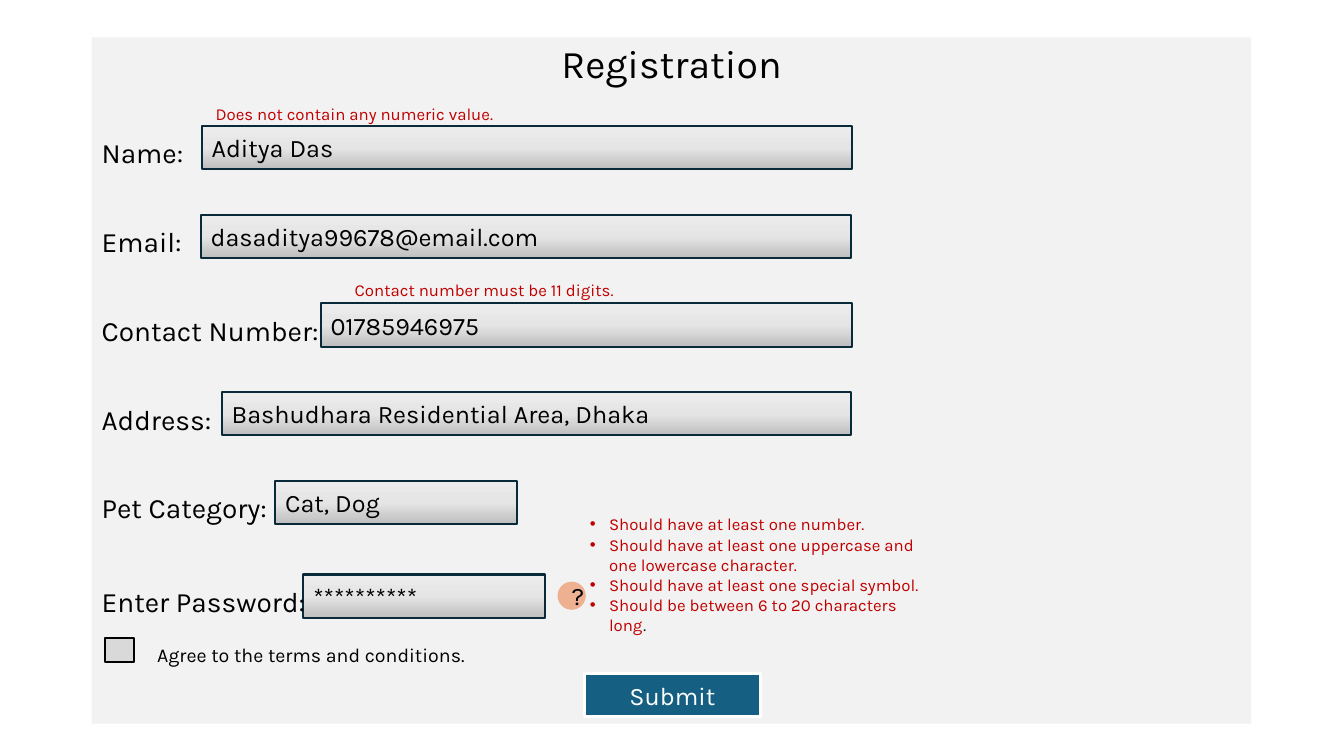
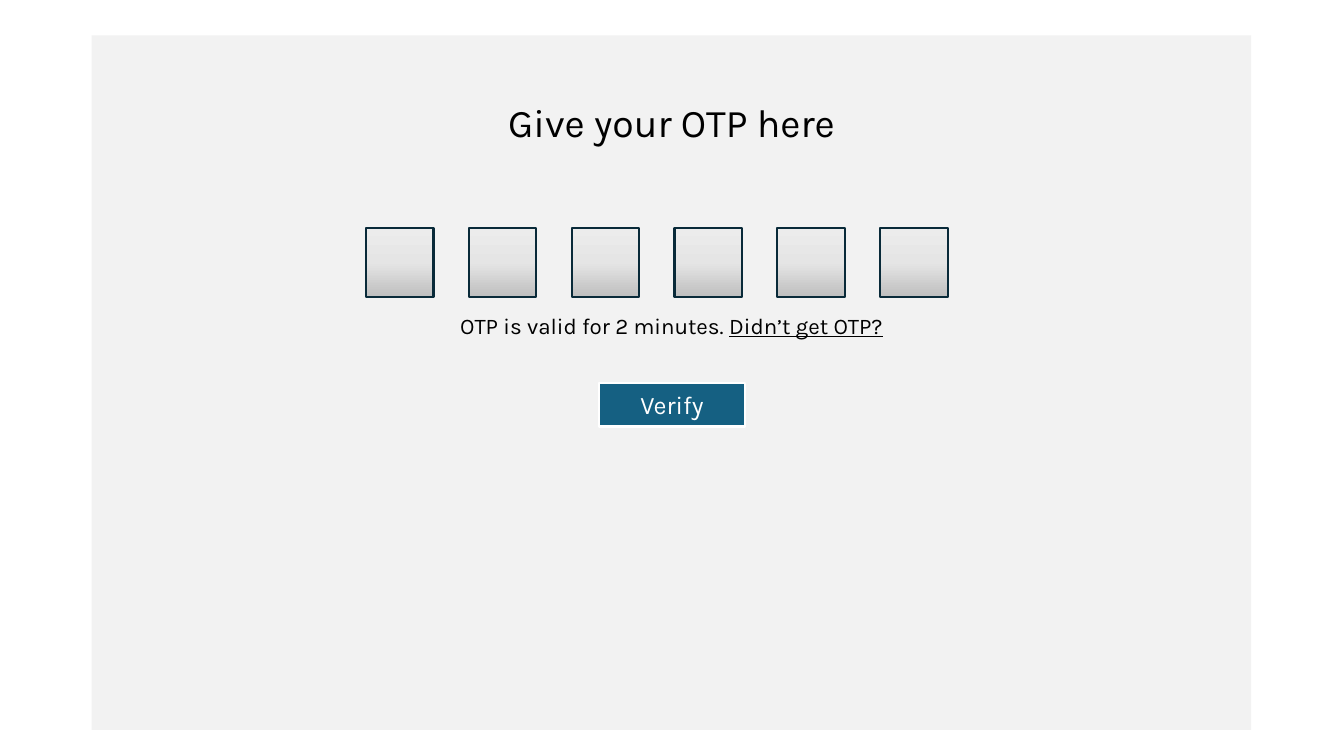
from lxml import etree
from pptx import Presentation
from pptx.dml.color import RGBColor
from pptx.enum.shapes import MSO_SHAPE
from pptx.enum.text import MSO_ANCHOR, MSO_AUTO_SIZE, PP_ALIGN
from pptx.oxml.ns import qn
from pptx.util import Inches, Pt

RECT, OVAL = MSO_SHAPE.RECTANGLE, MSO_SHAPE.OVAL
LEFT, CENTER = PP_ALIGN.LEFT, PP_ALIGN.CENTER
MIDDLE, TOP = MSO_ANCHOR.MIDDLE, MSO_ANCHOR.TOP
NO_FIT = MSO_AUTO_SIZE.NONE

FONT = "Karla"
COLORS = {
    "panel": "F2F2F2", "text": "000000", "hint": "C00000", "white": "FFFFFF",
    "button": "156082", "field_line": "092A39", "check": "D9D9D9",
    "help": "E97132", "period": "111111",
}
FIELD_STOPS = [(0, "ECECEC"), (50, "E5E5E5"), (100, "BEBEBE")]
PANEL_LEFT, PANEL_WIDTH = 0.91, 11.5
TITLE_HEIGHT = 0.5


def style_text(frame, size, color="text", align=LEFT, anchor=MIDDLE):
    frame.word_wrap = True
    frame.auto_size = NO_FIT
    frame.vertical_anchor = anchor
    for paragraph in frame.paragraphs:
        paragraph.alignment = align
        paragraph.font.name = FONT
        paragraph.font.size = Pt(size)
        paragraph.font.color.rgb = RGBColor.from_string(COLORS[color])


def add_box(slide, at, fill="field", line="field_line", width=1.5, kind=RECT,
            text="", color="text", align=LEFT):
    box = slide.shapes.add_shape(kind, *map(Inches, at))
    box.shadow.inherit = False
    if fill == "field":
        box.fill.gradient()
        box.fill.gradient_angle = 270
        stops = box.element.spPr.find(".//" + qn("a:gsLst"))
        stops.clear()
        for percent, shade in FIELD_STOPS:
            stop = etree.SubElement(stops, qn("a:gs"), pos=str(percent * 1000))
            etree.SubElement(stop, qn("a:srgbClr"), val=shade)
    else:
        box.fill.solid()
        box.fill.fore_color.rgb = RGBColor.from_string(COLORS[fill])
    if line:
        box.line.color.rgb = RGBColor.from_string(COLORS[line])
        box.line.width = Pt(width)
    else:
        box.line.fill.background()
    if text:
        box.text_frame.text = text
        style_text(box.text_frame, 18, color, align)
    return box


prs = Presentation()
prs.slide_width, prs.slide_height = Inches(13.33), Inches(7.5)

# Panel, title and button of each slide
pages = [
    # layout, title, title top, panel top, panel height, button, button place
    (1, "Registration", 0.37, 0.37, 6.81, "Submit", (5.8, 6.68, 1.74, 0.43)),
    (5, "Give your OTP here", 0.96, 0.35, 6.89, "Verify", (5.94, 3.8, 1.45, 0.43)),
]
for layout, heading, title_top, panel_top, panel_height, action, place in pages:
    slide = prs.slides.add_slide(prs.slide_layouts[layout])
    panel = add_box(slide, (PANEL_LEFT, panel_top, PANEL_WIDTH, panel_height),
                    "panel", None)
    slide.shapes.element.insert(2, panel.element)  # behind the title
    title = slide.shapes.title
    title.left, title.top = Inches(PANEL_LEFT), Inches(title_top)
    title.width, title.height = Inches(PANEL_WIDTH), Inches(TITLE_HEIGHT)
    title.text_frame.text = heading
    style_text(title.text_frame, 28, align=CENTER)
    add_box(slide, place, "button", "white", 2, text=action, color="white",
            align=CENTER)

registration, otp = prs.slides

# Form fields with their labels
ROW_TOP, ROW_STEP, FIELD_HEIGHT = 1.25, 0.88, 0.43
LABEL_DROP = 0.05
fields = [
    # label, value, field left, field width, extra drop
    ("Name:", "Aditya Das", 2.0, 6.45, 0),
    ("Email:", "dasaditya99678@email.com", 1.99, 6.45, 0),
    ("Contact Number:", "01785946975", 3.18, 5.27, 0),
    ("Address:", "Bashudhara Residential Area, Dhaka", 2.2, 6.24, 0),
    ("Pet Category:", "Cat, Dog", 2.73, 2.4, 0),
    ("Enter Password:", "**********", 3.01, 2.4, 0.05),
]
captions = [
    # text, left, top, width, height, size, color
    ("Does not contain any numeric value.", 2.04, 0.98, 4, 0.3, 12, "hint"),
    ("Contact number must be 11 digits.", 3.42, 2.73, 4, 0.3, 12, "hint"),
    ("Agree to the terms and conditions.", 1.46, 6.29, 4, 0.4, 14, "text"),
]
for row, (label, value, left, width, drop) in enumerate(fields):
    top = ROW_TOP + row * ROW_STEP + drop
    add_box(registration, (left, top, width, FIELD_HEIGHT), text=value)
    captions.append((label, PANEL_LEFT, top + LABEL_DROP, 2.5, FIELD_HEIGHT,
                     20, "text"))

# Labels, hints and consent text
for text, left, top, width, height, size, color in captions:
    caption = registration.shapes.add_textbox(
        *map(Inches, (left, top, width, height)))
    caption.text_frame.text = text
    style_text(caption.text_frame, size, color)

# Consent checkbox
add_box(registration, (1.04, 6.33, 0.29, 0.24), "check", "text")

# Password help mark
help_mark = add_box(registration, (5.53, 5.77, 0.28, 0.28), "help", None,
                    kind=OVAL, text="?", align=CENTER)
help_color = help_mark.element.spPr.find(".//" + qn("a:srgbClr"))
etree.SubElement(help_color, qn("a:alpha"), val="50000")

# Password rules
rules = registration.placeholders[1]
rules.left, rules.top = Inches(5.75), Inches(5.05)
rules.width, rules.height = Inches(3.61), Inches(1.31)
rules.text_frame.text = "\n".join([
    "Should have at least one number.",
    "Should have at least one uppercase and one lowercase character.",
    "Should have at least one special symbol.",
    "Should be between 6 to 20 characters long",
])
for rule in rules.text_frame.paragraphs:
    rule.space_before = Pt(0)
    properties = rule._p.get_or_add_pPr()
    properties.set("marL", str(Inches(0.19)))
    properties.set("indent", str(-Inches(0.19)))
    etree.SubElement(properties, qn("a:buFont"), typeface="Arial")
    etree.SubElement(properties, qn("a:buChar"), char="•")
style_text(rules.text_frame, 12, "hint", anchor=TOP)
period = rules.text_frame.paragraphs[-1].add_run()
period.text = "."
period.font.name = "Roboto"
period.font.color.rgb = RGBColor.from_string(COLORS["period"])

# One-time code digits
DIGIT_LEFT, DIGIT_STEP = 3.63, 1.02
for digit in range(6):
    add_box(otp, (DIGIT_LEFT + digit * DIGIT_STEP, 2.26, 0.67, 0.69))

# Validity note
validity = otp.shapes.add_textbox(
    *map(Inches, (PANEL_LEFT, 3.03, PANEL_WIDTH, 0.4)))
note = validity.text_frame.paragraphs[0]
note.add_run().text = "OTP is valid for 2 minutes. "
resend = note.add_run()
resend.text = "Didn’t get OTP?"
resend.font.underline = True
style_text(validity.text_frame, 16, align=CENTER)

prs.save("out.pptx")
